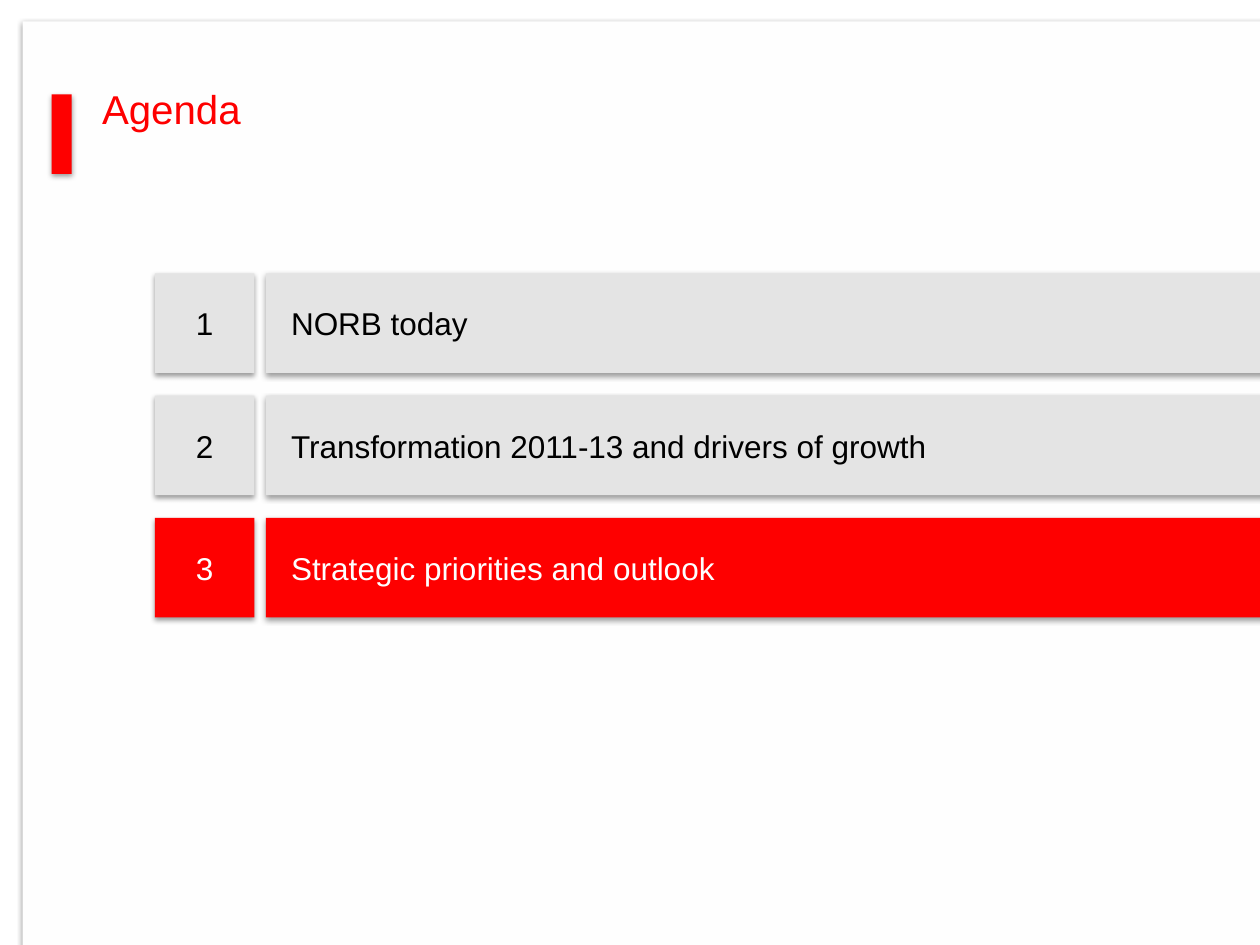
from lxml.etree import SubElement as Sub
from pptx import Presentation
from pptx.dml.color import RGBColor
from pptx.enum.shapes import MSO_SHAPE as Shape
from pptx.enum.text import MSO_ANCHOR as Anchor, MSO_AUTO_SIZE as Auto, PP_ALIGN as Align
from pptx.oxml.ns import qn
from pptx.util import Inches, Pt

RED, GREY, WHITE, BLACK = "FE0000", "E4E4E4", "FEFEFE", "000000"
ITEMS = [
    "NORB today",
    "Transformation 2011-13 and drivers of growth",
    "Strategic priorities and outlook",
]
TOP, STEP, SIDE = 2.17, 0.97, 0.79


def paint(code):
    return RGBColor.from_string(code)


def add_shade(shape):
    shape.shadow.inherit = False
    effects = shape._element.spPr.find(qn("a:effectLst"))
    shade = Sub(effects, qn("a:outerShdw"), blurRad=str(Pt(3.1)),
                dist=str(Pt(1.6)), dir="5400000", algn="ctr", rotWithShape="0")
    tone = Sub(shade, qn("a:srgbClr"), val=BLACK)
    Sub(tone, qn("a:alpha"), val="38000")


def add_box(slide, left, top, width, height, fill):
    box = slide.shapes.add_shape(Shape.RECTANGLE, Inches(left), Inches(top),
                                 Inches(width), Inches(height))
    box.fill.solid()
    box.fill.fore_color.rgb = paint(fill)
    box.line.fill.background()
    add_shade(box)
    return box


def write(shape, text, size, color, align=Align.LEFT, anchor=Anchor.MIDDLE, inset=0):
    frame = shape.text_frame
    frame.text = text
    frame.word_wrap = True
    frame.auto_size = Auto.NONE
    frame.vertical_anchor = anchor
    frame.margin_left = Inches(inset)
    frame.margin_right = frame.margin_top = frame.margin_bottom = 0
    line = frame.paragraphs[0]
    line.alignment = align
    font = line.runs[0].font
    font.name = "Arial"
    font.size = Pt(size)
    font.color.rgb = paint(color)


def add_title(slide, text):
    title = slide.shapes.title
    title.left, title.top = Inches(0.81), Inches(0.67)
    title.width, title.height = Inches(8.5), Inches(0.7)
    write(title, text, 23, RED, anchor=Anchor.TOP)


def add_item(slide, index, text):
    top = TOP + index * STEP
    active = index == len(ITEMS) - 1
    fill, color = (RED, WHITE) if active else (GREY, BLACK)
    number = add_box(slide, 1.23, top, SIDE, SIDE, fill)
    write(number, str(index + 1), 18, color, align=Align.CENTER)
    bar = add_box(slide, 2.11, top, 8.78, SIDE, fill)
    write(bar, text, 18, color, inset=0.2)


def main():
    deck = Presentation()
    deck.slide_width, deck.slide_height = Inches(10), Inches(7.5)
    slide = deck.slides.add_slide(deck.slide_layouts[5])
    panel = add_box(slide, 0.18, 0.17, 11.34, 7.93, WHITE)
    slide.shapes.title._element.addprevious(panel._element)
    add_title(slide, "Agenda")
    add_box(slide, 0.41, 0.75, 0.16, 0.63, RED)
    for index, text in enumerate(ITEMS):
        add_item(slide, index, text)
    deck.save("out.pptx")


if __name__ == "__main__":
    main()
